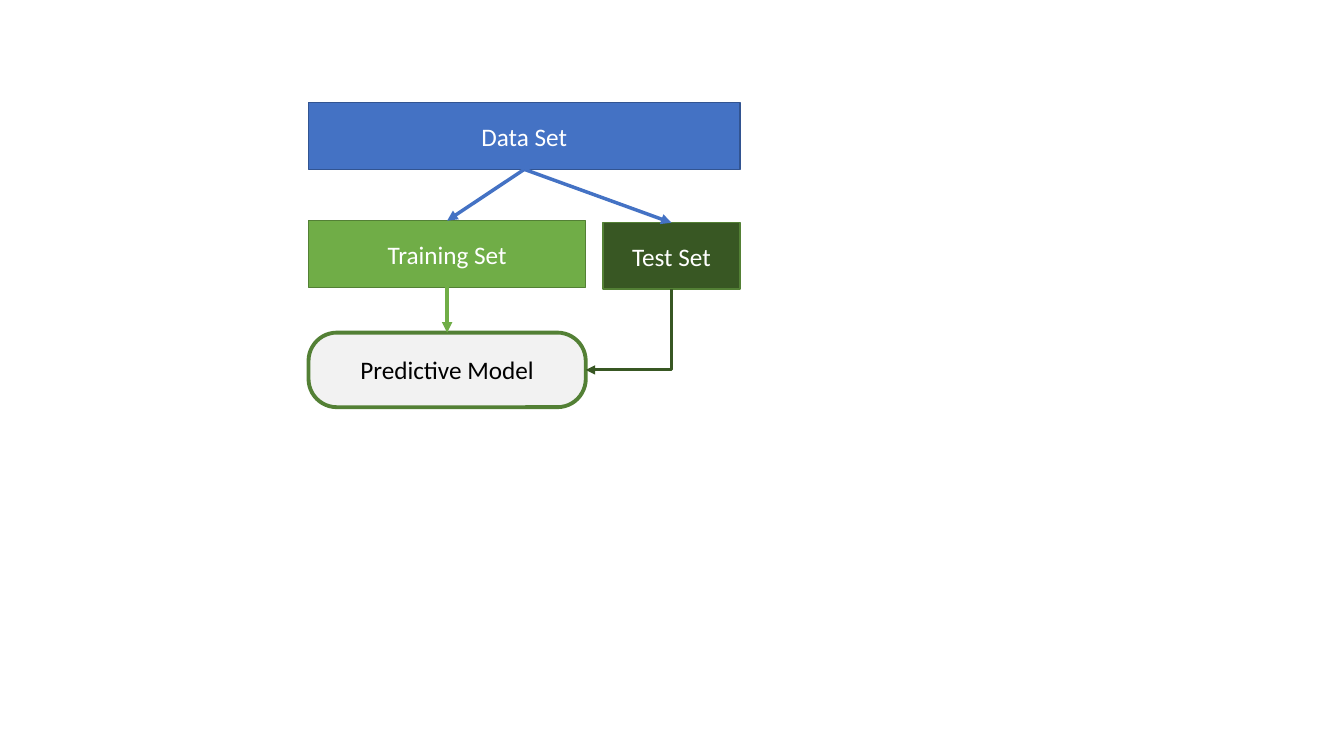
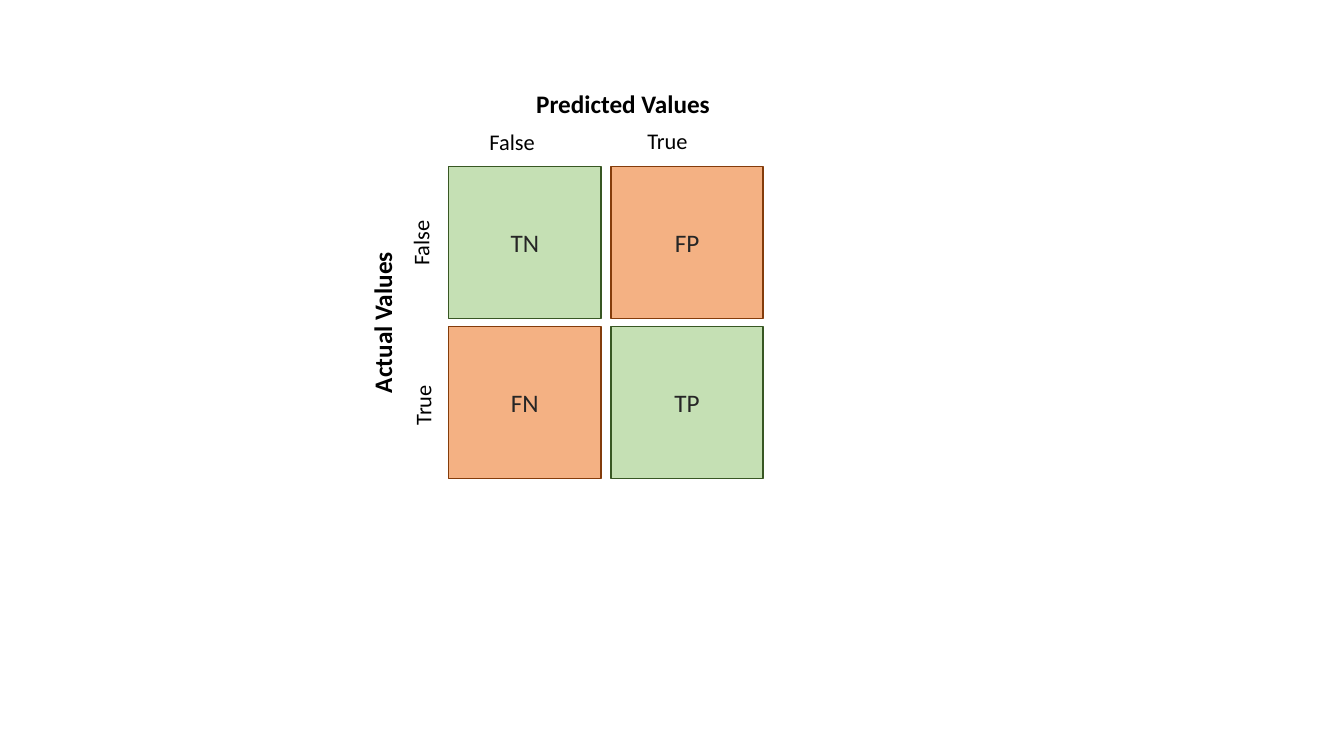
import pptx
import pptx.util
import pptx.dml.color
import pptx.enum.shapes
import pptx.enum.text
import pptx.oxml
import pptx.oxml.ns

Inches, Pt = pptx.util.Inches, pptx.util.Pt
SHAPE = pptx.enum.shapes.MSO_SHAPE
LINK = pptx.enum.shapes.MSO_CONNECTOR
TEXT = pptx.enum.text

FONT = "Calibri"
WHITE, BLACK, INK, PALE = "FFFFFF", "000000", "262626", "F2F2F2"
BLUE, NAVY = "4472C4", "325491"
GREEN, MOSS, FOREST, MINT = "70AD47", "538035", "385723", "C5E0B4"
PEACH, BROWN = "F4B183", "843C0B"
TOP, LEFT, BOTTOM, RIGHT = range(4)


def rgb(code):
    return pptx.dml.color.RGBColor.from_string(code)


def write(shape, text, color, size=18, bold=False):
    frame = shape.text_frame
    frame.vertical_anchor = TEXT.MSO_ANCHOR.MIDDLE
    para = frame.paragraphs[0]
    para.alignment = TEXT.PP_ALIGN.CENTER
    run = para.add_run()
    run.text = text
    run.font.name, run.font.size, run.font.bold = FONT, Pt(size), bold
    run.font.color.rgb = rgb(color)


def block(slide, text, box, fill, edge, ink=WHITE, weight=1, kind=SHAPE.RECTANGLE):
    shape = slide.shapes.add_shape(kind, *map(Inches, box))
    shape.shadow.inherit = False
    shape.fill.solid()
    shape.fill.fore_color.rgb = rgb(fill)
    shape.line.color.rgb = rgb(edge)
    shape.line.width = Pt(weight)
    write(shape, text, ink)
    return shape


def label(slide, text, mid, width, high=0.37, size=16, bold=False, turn=0):
    """Place one line of text centred on the point mid."""
    left, top = mid[0] - width / 2, mid[1] - high / 2
    shape = slide.shapes.add_textbox(*map(Inches, (left, top, width, high)))
    shape.rotation = turn
    shape.text_frame.word_wrap = False
    write(shape, text, BLACK, size, bold)


def arrow(slide, start, side, end, goal, color, weight=2.5, kind=LINK.STRAIGHT):
    """Join a side of one shape to a side of another."""
    line = slide.shapes.add_connector(kind, 0, 0, 0, 0)
    line.begin_connect(start, side)
    line.end_connect(end, goal)
    line.line.color.rgb = rgb(color)
    line.line.width = Pt(weight)
    make, name = pptx.oxml.parse_xml, pptx.oxml.ns.nsdecls("a")
    line.line._get_or_add_ln().append(make(f'<a:tailEnd {name} type="triangle"/>'))
    line._element.spPr.append(make(f"<a:effectLst {name}/>"))
    return line


def bend(line):
    """Turn an elbow into one corner that runs down, then left."""
    run, drop = line.begin_x - line.end_x, line.end_y - line.begin_y
    left = line.end_x + (run - drop) // 2
    top = line.begin_y + (drop - run) // 2
    prop = line._element.spPr
    prop.xfrm.attrib.pop("flipH", None)
    prop.xfrm.set("rot", "5400000")
    line.left, line.top, line.width, line.height = left, top, drop, run
    prop.find(pptx.oxml.ns.qn("a:prstGeom")).set("prst", "bentConnector2")


def flow(slide, x, y, wide=4.28, high=0.66):
    main, small = 2.75, 1.36
    data = block(slide, "Data Set", (x, y, wide, high), BLUE, NAVY)
    train = block(slide, "Training Set", (x, y + 1.17, main, high), GREEN, MOSS)
    test = block(slide, "Test Set", (x + wide - small, y + 1.19, small, high),
                 FOREST, MOSS)
    model = block(slide, "Predictive Model", (x, y + 2.28, main, 0.74), PALE, MOSS,
                  BLACK, 2.75, SHAPE.ROUNDED_RECTANGLE)
    model.adjustments[0] = 0.38
    for part in (train, test):
        arrow(slide, data, BOTTOM, part, TOP, BLUE)
    arrow(slide, train, BOTTOM, model, TOP, GREEN)
    bend(arrow(slide, test, BOTTOM, model, RIGHT, FOREST, 2.25, LINK.ELBOW))


def matrix(slide, x, y, side=1.51):
    for row, names in enumerate((("TN", "FP"), ("FN", "TP"))):
        for col, name in enumerate(names):
            fill, edge = (MINT, FOREST) if row == col else (PEACH, BROWN)
            box = (x + col * (side + 0.1), y + row * (side + 0.08), side, side)
            block(slide, name, box, fill, edge, INK)
    for text, width, dx, dy, turn in (
        ("Predicted Values", 1.94, 1.73, -0.62, 0),
        ("Actual Values", 1.61, -0.66, 1.55, 270),
    ):
        label(slide, text, (x + dx, y + dy), width, 0.4, 18, True, turn)
    for text, width, dx, dy, turn in (
        ("False", 0.66, 0.63, -0.25, 0),
        ("True", 0.61, 2.17, -0.26, 0),
        ("False", 0.66, -0.28, 0.76, 270),
        ("True", 0.61, -0.26, 2.37, 270),
    ):
        label(slide, text, (x + dx, y + dy), width, turn=turn)


def main():
    deck = pptx.Presentation()
    deck.slide_width, deck.slide_height = Inches(13.33), Inches(7.5)
    blank = deck.slide_layouts[6]
    flow(deck.slides.add_slide(blank), 3.06, 1.02)
    matrix(deck.slides.add_slide(blank), 4.45, 1.65)
    deck.save("out.pptx")


if __name__ == "__main__":
    main()
